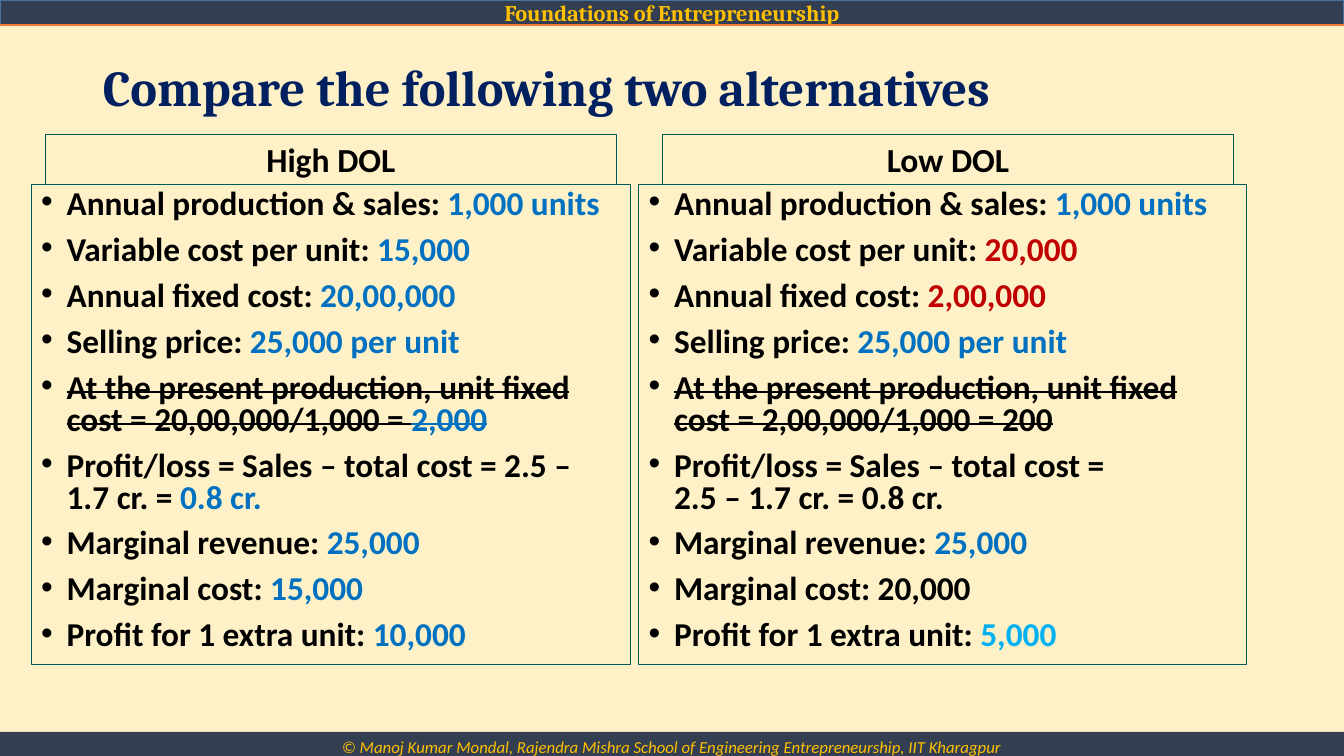
from lxml.etree import SubElement
from pptx import Presentation
from pptx.dml.color import RGBColor
from pptx.enum.shapes import MSO_CONNECTOR as Connector, MSO_SHAPE as Shape
from pptx.enum.text import MSO_ANCHOR as Anchor, MSO_AUTO_SIZE as AutoSize, PP_ALIGN as Align
from pptx.oxml.ns import qn
from pptx.util import Cm, Pt

COLOURS = {
    "background": "FFF1C7", "bar": "333F50", "bar_edge": "43739E",
    "rule": "ED7D31", "gold": "FFC000", "navy": "002060", "frame": "005A5A",
    "black": "000000", "blue": "0070C0", "red": "C00000", "sky": "00B0F0",
}
WIDTH, HEIGHT = 33.87, 19.05

HIGH_DOL = [
    [("Annual production & sales: ", "black"), ("1,000 units", "blue")],
    [("Variable cost per unit: ", "black"), ("15,000", "blue")],
    [("Annual fixed cost: ", "black"), ("20,00,000", "blue")],
    [("Selling price: ", "black"), ("25,000 per unit", "blue")],
    [("At the present production, unit fixed cost = 20,00,000/1,000 = ", "black"),
     ("2,000", "blue")],
    [("Profit/loss = Sales – total cost = 2.5 – 1.7 cr. = ", "black"), ("0.8 cr.", "blue")],
    [("Marginal revenue: ", "black"), ("25,000", "blue")],
    [("Marginal cost: ", "black"), ("15,000", "blue")],
    [("Profit for 1 extra unit: ", "black"), ("10,000", "blue")],
]
LOW_DOL = [
    [("Annual production & sales: ", "black"), ("1,000 units", "blue")],
    [("Variable cost per unit: ", "black"), ("20,000", "red")],
    [("Annual fixed cost: ", "black"), ("2,00,000", "red")],
    [("Selling price: ", "black"), ("25,000 per unit", "blue")],
    [("At the present production, unit fixed cost = 2,00,000/1,000 = 200", "black")],
    [("Profit/loss = Sales – total cost = \n2.5 – 1.7 cr. = 0.8 cr.", "black")],
    [("Marginal revenue: ", "black"), ("25,000", "blue")],
    [("Marginal cost: 20,000", "black")],
    [("Profit for 1 extra unit: ", "black"), ("5,000", "sky")],
]
STRUCK_ITEM = 4


def colour(name):
    return RGBColor.from_string(COLOURS[name])


def add_text(para, text, *, size, ink, font="Calibri", bold=False, italic=False, strike=False):
    for index, piece in enumerate(text.split("\n")):
        if index:
            para.add_line_break()
        span = para.add_run()
        span.text = piece
        span.font.name = font
        span.font.size = Pt(size)
        span.font.bold = bold
        span.font.italic = italic
        span.font.color.rgb = colour(ink)
        if strike:
            span.font._element.set("strike", "sngStrike")


def add_box(page, left, top, width, height, fill=None, edge=None, edge_width=0.75,
            anchor=Anchor.TOP, align=Align.CENTER):
    box = page.shapes.add_shape(Shape.RECTANGLE, Cm(left), Cm(top), Cm(width), Cm(height))
    box.shadow.inherit = False
    if fill:
        box.fill.solid()
        box.fill.fore_color.rgb = colour(fill)
    else:
        box.fill.background()
    if edge:
        box.line.color.rgb = colour(edge)
        box.line.width = Pt(edge_width)
    else:
        box.line.fill.background()
    box.text_frame.word_wrap = True
    box.text_frame.vertical_anchor = anchor
    box.text_frame.paragraphs[0].alignment = align
    return box


def add_banner(page, left, top, width, height):
    bar = add_box(page, left, top, width, height, fill="bar", edge="bar_edge",
                  edge_width=1, anchor=Anchor.MIDDLE)
    add_text(bar.text_frame.paragraphs[0], "Foundations of Entrepreneurship",
             size=16, ink="gold", font="Cambria", bold=True)
    bottom = Cm(top + height)
    rule = page.shapes.add_connector(Connector.STRAIGHT, Cm(left), bottom,
                                     Cm(left + width), bottom)
    rule.line.color.rgb = colour("rule")
    rule.line.width = Pt(1.5)
    SubElement(rule._element.spPr, qn("a:effectLst"))


def add_footer(page, left, top, width, height):
    bar = add_box(page, left, top, width, height, fill="bar")
    add_text(bar.text_frame.paragraphs[0],
             "© Manoj Kumar Mondal, Rajendra Mishra School of Engineering "
             "Entrepreneurship, IIT Kharagpur", size=12, ink="gold", italic=True)


def place_title(page, left, top, width, height):
    title = page.shapes.title
    title.left, title.top, title.width, title.height = map(Cm, (left, top, width, height))
    frame = title.text_frame
    frame.auto_size = AutoSize.NONE
    frame.vertical_anchor = Anchor.MIDDLE
    para = frame.paragraphs[0]
    para.alignment = Align.LEFT
    para.line_spacing = 0.9
    add_text(para, "Compare the following two alternatives",
             size=36, ink="navy", font="Cambria", bold=True)


def add_bullet(para):
    properties = para._p.get_or_add_pPr()
    properties.set("marL", str(Cm(0.64)))
    properties.set("indent", str(-Cm(0.64)))
    SubElement(properties, qn("a:buFont"), typeface="Arial")
    SubElement(properties, qn("a:buChar"), char="•")


def add_alternative(page, left, top, width, height, heading, items, heading_inset):
    heading_height = 1.27
    body = add_box(page, left, top + heading_height, width, height - heading_height,
                   edge="frame", align=Align.LEFT)
    frame = body.text_frame
    for index, item in enumerate(items):
        para = frame.add_paragraph() if index else frame.paragraphs[0]
        add_bullet(para)
        para.alignment = Align.LEFT
        para.line_spacing = 0.8
        para.space_before = Pt(10 if index else 0)
        for text, ink in item:
            add_text(para, text, size=23.8, ink=ink, bold=True, strike=index == STRUCK_ITEM)
    label = add_box(page, left + heading_inset, top, 14.4, heading_height, edge="frame")
    add_text(label.text_frame.paragraphs[0], heading, size=24, ink="black", bold=True)


def main():
    deck = Presentation()
    deck.slide_width, deck.slide_height = Cm(WIDTH), Cm(HEIGHT)
    page = deck.slides.add_slide(deck.slide_layouts[5])
    page.background.fill.solid()
    page.background.fill.fore_color.rgb = colour("background")
    add_banner(page, 0, 0, WIDTH, 0.64)
    add_footer(page, 0, 18.44, WIDTH, 0.76)
    place_title(page, 2.34, 1.09, 29.21, 2.36)
    add_alternative(page, 0.79, 3.38, 15.09, 13.36, "High DOL", HIGH_DOL, 0.35)
    add_alternative(page, 16.1, 3.38, 15.32, 13.36, "Low DOL", LOW_DOL, 0.59)
    deck.save("out.pptx")


if __name__ == "__main__":
    main()
